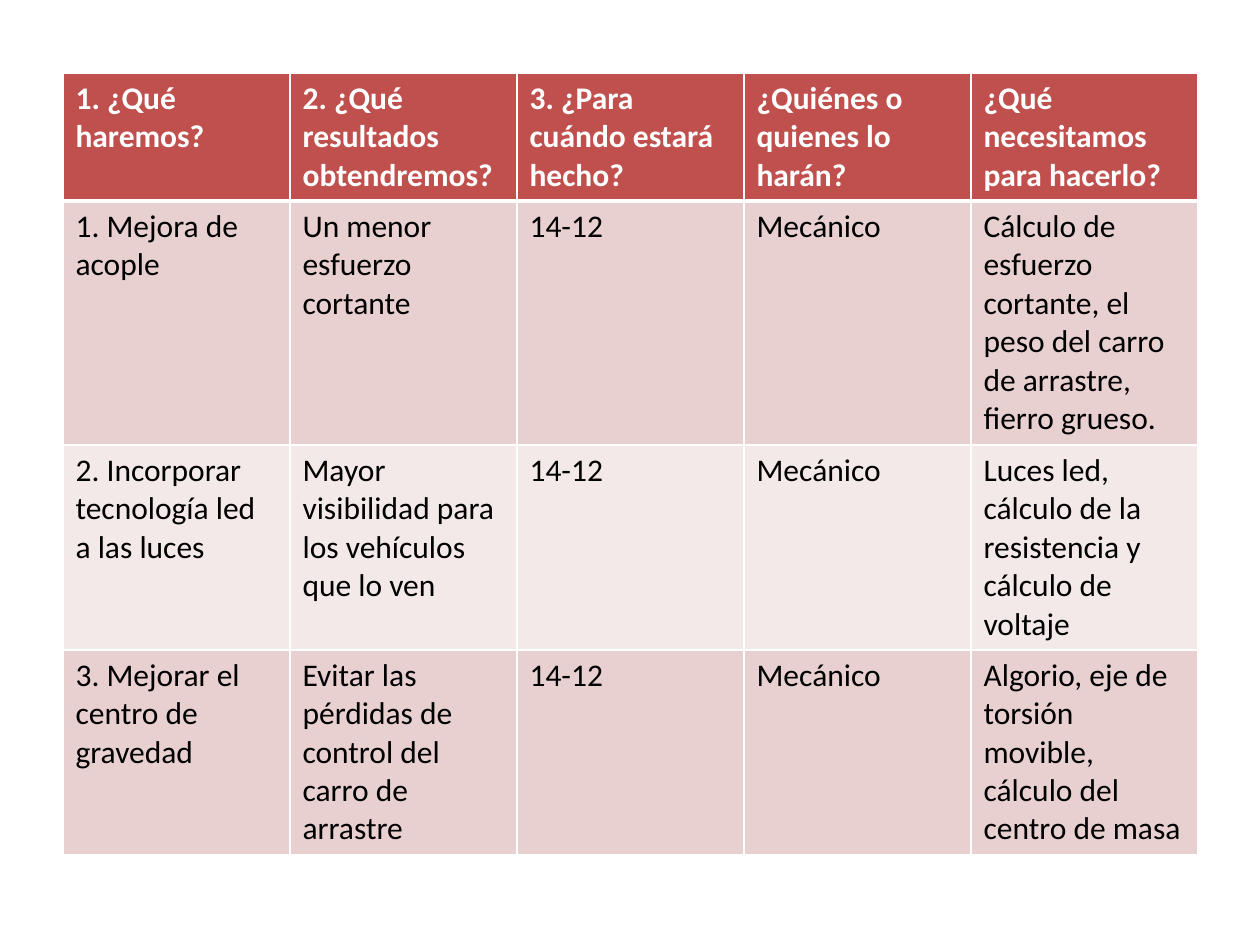
from lxml import etree
from pptx import Presentation
from pptx.dml.color import RGBColor
from pptx.oxml.ns import qn
from pptx.util import Emu, Pt

EMU_PER_PX = 914400 / 126
BLANK_LAYOUT = 6
COLORS = {
    "header": "C0504D",
    "band_dark": "E8D0D0",
    "band_light": "F4E9E9",
    "border": "FFFFFF",
    "header_text": "FFFFFF",
    "body_text": "000000",
}
COLUMN_WIDTH = 227
ROW_HEIGHTS = [127, 244, 204, 204]
PLAN = [
    ["1. ¿Qué haremos?", "2. ¿Qué resultados obtendremos?", "3. ¿Para cuándo estará hecho?",
     "¿Quiénes o quienes lo harán?", "¿Qué necesitamos para hacerlo?"],
    ["1. Mejora de acople", "Un menor esfuerzo cortante", "14-12", "Mecánico",
     "Cálculo de esfuerzo cortante, el peso del carro de arrastre, fierro grueso."],
    ["2. Incorporar tecnología led a las luces", "Mayor visibilidad para los vehículos que lo ven",
     "14-12", "Mecánico", "Luces led, cálculo de la resistencia y cálculo de voltaje"],
    ["3. Mejorar el centro de gravedad", "Evitar las pérdidas de control del carro de arrastre",
     "14-12", "Mecánico", "Algorio, eje de torsión movible, cálculo del centro de masa"],
]


def px(length):
    """Turn pixels into EMU."""
    return Emu(round(length * EMU_PER_PX))


def color(name):
    """Look up a named colour."""
    return RGBColor.from_string(COLORS[name])


def set_borders(cell, widths):
    """Draw the cell's borders, given side letters and widths in points."""
    properties = cell._tc.get_or_add_tcPr()
    for side, width in widths.items():
        line = etree.SubElement(properties, qn(f"a:ln{side}"), w=str(Pt(width)))
        fill = etree.SubElement(line, qn("a:solidFill"))
        etree.SubElement(fill, qn("a:srgbClr"), val=COLORS["border"])


def fill_cell(cell, text, row_index):
    """Write and format one cell by its row."""
    is_header = row_index == 0
    set_borders(cell, {"L": 1, "R": 1, "T": 3 if row_index == 1 else 1, "B": 3 if is_header else 1})
    band = "band_dark" if row_index % 2 else "band_light"
    cell.fill.solid()
    cell.fill.fore_color.rgb = color("header" if is_header else band)
    run = cell.text_frame.paragraphs[0].add_run()
    run.text = text
    run.font.name = "Calibri"
    run.font.size = Pt(18)
    run.font.bold = is_header
    run.font.color.rgb = color("header_text" if is_header else "body_text")


def add_plan_table(slide):
    """Add the action plan table."""
    column_count = len(PLAN[0])
    frame = slide.shapes.add_table(len(PLAN), column_count, px(63), px(73),
                                   px(COLUMN_WIDTH * column_count), px(sum(ROW_HEIGHTS)))
    table = frame.table
    for column in table.columns:
        column.width = px(COLUMN_WIDTH)
    for row_index, (row, height, texts) in enumerate(zip(table.rows, ROW_HEIGHTS, PLAN)):
        row.height = px(height)
        for cell, text in zip(row.cells, texts):
            fill_cell(cell, text, row_index)


def main():
    """Build and save the presentation."""
    presentation = Presentation()
    presentation.slide_width = px(1260)
    presentation.slide_height = px(945)
    slide = presentation.slides.add_slide(presentation.slide_layouts[BLANK_LAYOUT])
    add_plan_table(slide)
    presentation.save("out.pptx")


if __name__ == "__main__":
    main()
